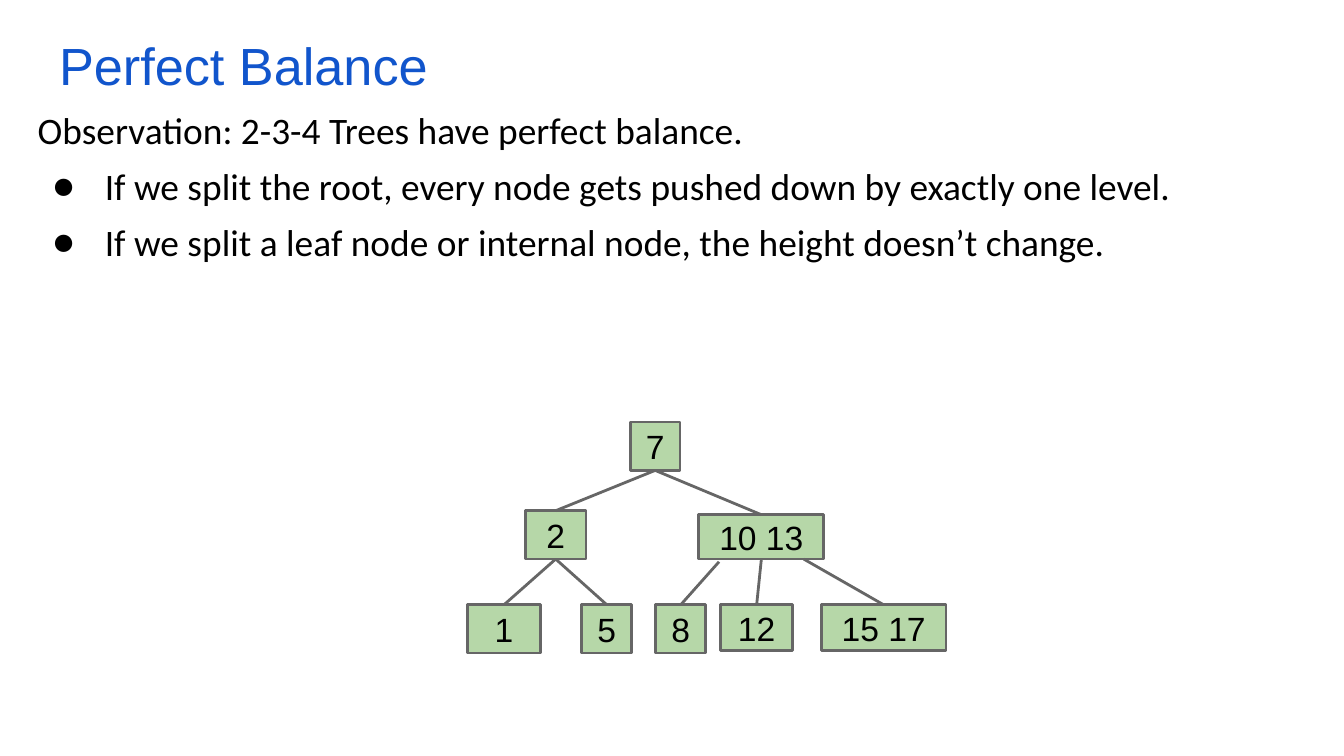
from lxml import etree
from pptx import Presentation
from pptx.dml.color import RGBColor
from pptx.enum import shapes, text
from pptx.oxml.ns import qn
from pptx.util import Inches, Pt

BLUE = RGBColor(0x11, 0x55, 0xCC)
BLACK = RGBColor(0, 0, 0)
GREEN = RGBColor(0xB6, 0xD7, 0xA8)
GRAY = RGBColor(0x66, 0x66, 0x66)
TOP, BOTTOM = 0, 2  # connection sites of a rectangle


def write(paragraph, words, size=18, font="Arial", color=BLACK,
          align=text.PP_ALIGN.LEFT, before=0, indent=0, hanging=0, bullet=None):
    paragraph.alignment = align
    paragraph.space_before = Pt(before)
    run = paragraph.add_run()
    run.text = words
    run.font.size, run.font.name = Pt(size), font
    run.font.color.rgb = color
    props = paragraph._p.get_or_add_pPr()
    props.set("marL", str(Inches(indent)))
    props.set("indent", str(Inches(-hanging)))
    if bullet:
        fill = etree.SubElement(props, qn("a:buClr"))
        etree.SubElement(fill, qn("a:srgbClr"), val=str(color))
        etree.SubElement(props, qn("a:buFont"), typeface=font)
        etree.SubElement(props, qn("a:buChar"), char=bullet)
    else:
        etree.SubElement(props, qn("a:buNone"))


def set_frame(shape, anchor):
    frame = shape.text_frame
    frame.auto_size = text.MSO_AUTO_SIZE.NONE
    frame.word_wrap = True
    frame.vertical_anchor = anchor
    frame.margin_left = frame.margin_right = Inches(0.1)
    frame.margin_top = frame.margin_bottom = Inches(0.1)
    return frame


deck = Presentation()
deck.slide_width = Inches(10)
deck.slide_height = deck.slide_width * 9 // 16
slide = deck.slides.add_slide(deck.slide_layouts[1])

# Heading and observation
title, body = slide.placeholders
title.left, title.top, title.width, title.height = map(Inches, (0.34, 0.15, 9.32, 0.63))
heading = set_frame(title, text.MSO_ANCHOR.TOP)
write(heading.paragraphs[0], "Perfect Balance", size=28, color=BLUE)

body.left, body.top, body.width, body.height = map(Inches, (0.18, 0.7, 9.23, 0.54))
observation = set_frame(body, text.MSO_ANCHOR.TOP)
write(observation.paragraphs[0], "Observation: 2-3-4 Trees have perfect balance.",
      size=20, font="Calibri", before=6)
for point in (
    "If we split the root, every node gets pushed down by exactly one level.",
    "If we split a leaf node or internal node, the height doesn’t change.",
):
    write(observation.add_paragraph(), point, size=20, font="Calibri", before=6,
          indent=0.5, hanging=0.39, bullet="●")

# Tree nodes: keys, left, top, width, height
nodes = {}
for keys, *box in (
    ("7", 4.69, 3.14, 0.37, 0.36),
    ("2", 3.91, 3.8, 0.45, 0.36),
    ("10 13", 5.2, 3.83, 0.93, 0.33),
    ("1", 3.48, 4.5, 0.54, 0.36),
    ("5", 4.33, 4.5, 0.37, 0.36),
    ("8", 4.88, 4.5, 0.37, 0.36),
    ("12", 5.36, 4.5, 0.54, 0.34),
    ("15 17", 6.11, 4.5, 0.93, 0.34),
):
    node = slide.shapes.add_shape(shapes.MSO_SHAPE.RECTANGLE, *map(Inches, box))
    node.shadow.inherit = False
    node.fill.solid()
    node.fill.fore_color.rgb = GREEN
    node.line.color.rgb = GRAY
    node.line.width = Pt(1.5)
    label = set_frame(node, text.MSO_ANCHOR.MIDDLE)
    write(label.paragraphs[0], keys, align=text.PP_ALIGN.CENTER)
    nodes[keys] = node

# Branches: parent, child, and a start point where it is not the bottom middle
for parent, child, start in (
    ("7", "2", None),
    ("7", "10 13", None),
    ("2", "1", None),
    ("2", "5", None),
    ("10 13", "8", (5.35, 4.18)),
    ("10 13", "12", None),
    ("10 13", "15 17", (5.98, 4.16)),
):
    x, y = map(Inches, start or (0, 0))
    branch = slide.shapes.add_connector(shapes.MSO_CONNECTOR.STRAIGHT, x, y, x, y)
    if start is None:
        branch.begin_connect(nodes[parent], BOTTOM)
    branch.end_connect(nodes[child], TOP)
    branch.line.color.rgb = GRAY
    branch.line.width = Pt(1.5)
    etree.SubElement(branch._element.spPr, qn("a:effectLst"))

deck.save("out.pptx")
